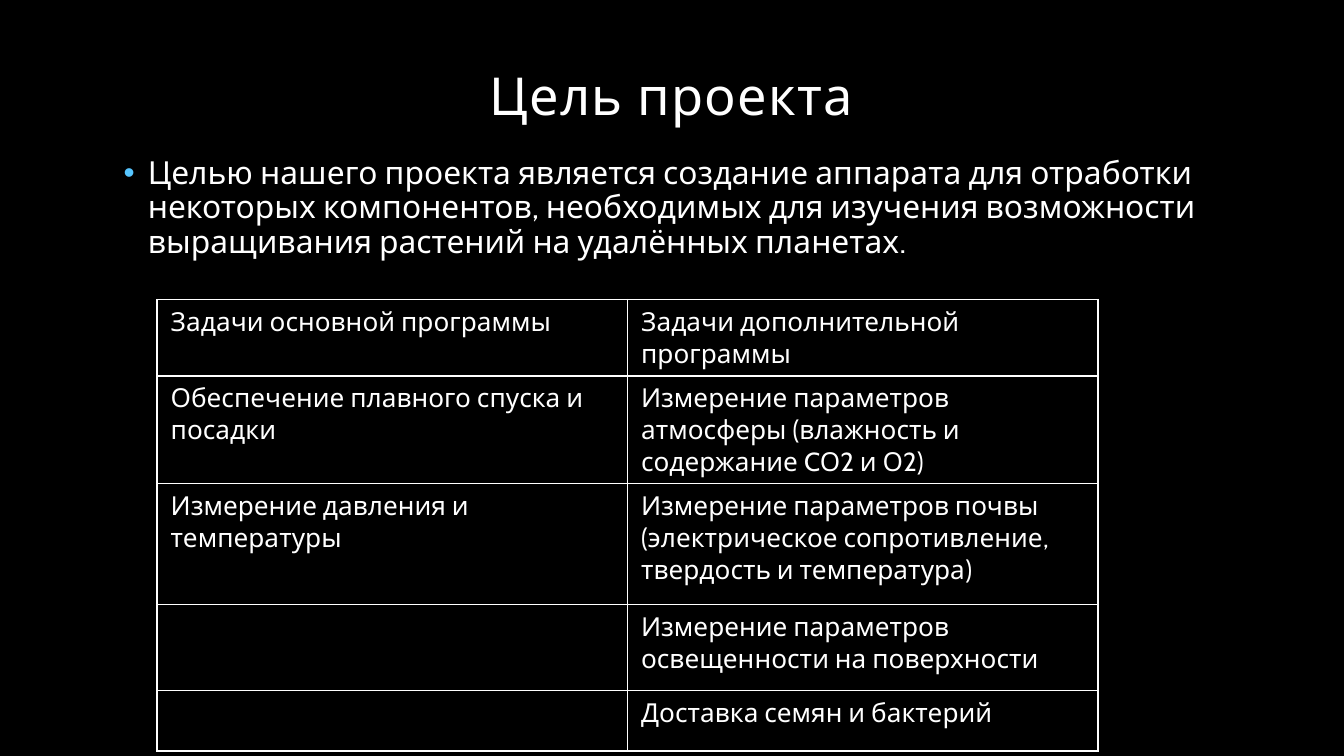
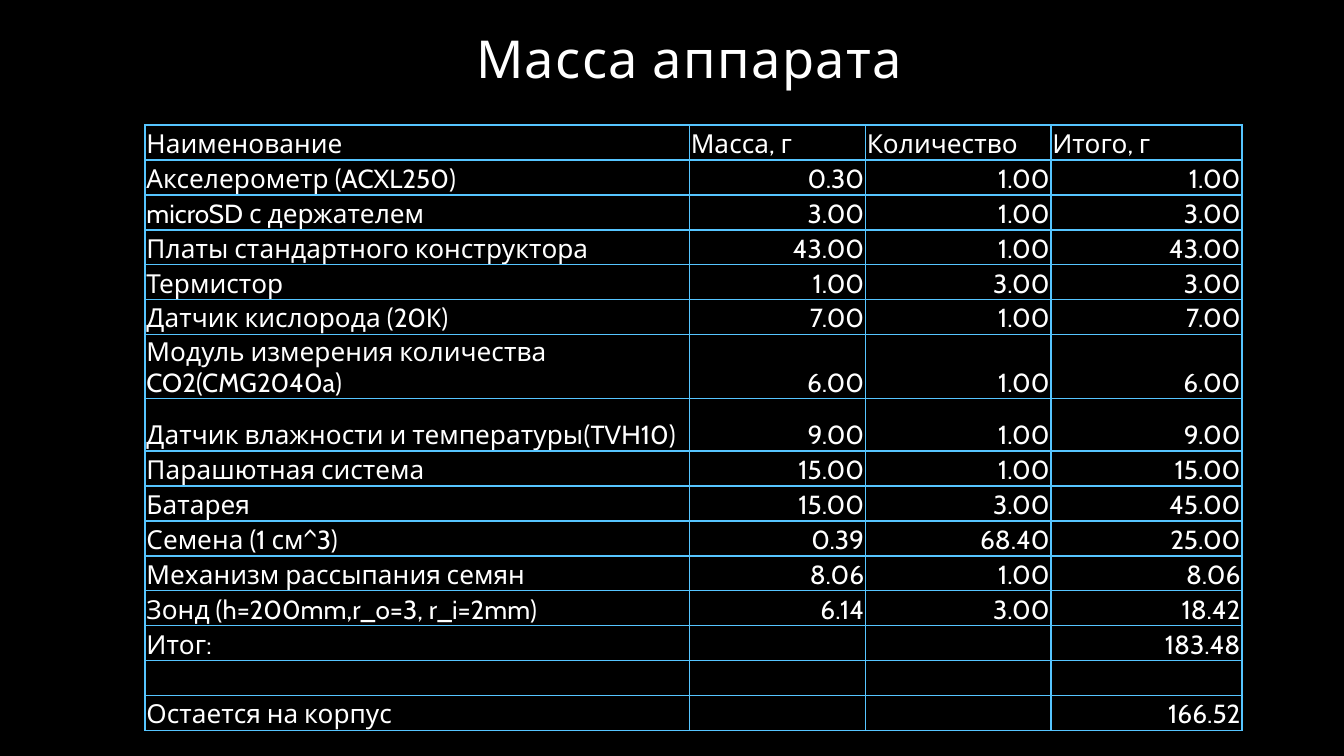
"""Builds two dark slides: the project goal and the mass budget of the craft."""
from dataclasses import dataclass

from lxml.etree import SubElement
from pptx import Presentation
from pptx.dml.color import RGBColor as Rgb
from pptx.enum.text import MSO_ANCHOR as Anchor, PP_ALIGN as Align
from pptx.oxml.ns import qn
from pptx.slide import Slide
from pptx.text.text import TextFrame, _Paragraph as Para
from pptx.util import Emu, Inches, Pt


@dataclass(frozen=True)
class Theme:
    font: str = "Cabin"
    back: str = "000000"
    ink: str = "FFFFFF"
    blue: str = "56C5FF"
    head: int = 28
    body: int = 17
    cell: int = 14
    line: float = 1
    lead: float = 0.9


@dataclass(frozen=True)
class Box:
    left: float
    top: float
    width: float
    height: float

    def place(self) -> tuple[Emu, ...]:
        return tuple(Inches(n) for n in (self.left, self.top, self.width, self.height))


@dataclass(frozen=True)
class Grid:
    box: Box
    cols: list[float]
    rows: list[float]
    data: list[tuple[str, ...]]
    edge: str
    pad: tuple[float, float, float, float]
    anchor: Anchor = Anchor.TOP


THEME = Theme()
GOAL = (
    "Целью нашего проекта является создание аппарата для отработки некоторых "
    "компонентов, необходимых для изучения возможности выращивания растений "
    "на удалённых планетах."
)
TASKS = [
    ("Задачи основной программы", "Задачи дополнительной программы"),
    ("Обеспечение плавного спуска и посадки",
     "Измерение параметров атмосферы (влажность и содержание CО2 и О2)"),
    ("Измерение давления и температуры",
     "Измерение параметров почвы (электрическое сопротивление, твердость и температура)"),
    ("", "Измерение параметров освещенности на поверхности"),
    ("", "Доставка семян и бактерий"),
]
PARTS = [
    ("Наименование", "Масса, г", "Количество", "Итого, г"),
    ("Акселерометр (ACXL250)", "0.30", "1.00", "1.00"),
    ("microSD с держателем", "3.00", "1.00", "3.00"),
    ("Платы стандартного конструктора", "43.00", "1.00", "43.00"),
    ("Термистор", "1.00", "3.00", "3.00"),
    ("Датчик кислорода (20K)", "7.00", "1.00", "7.00"),
    ("Модуль измерения количества CO2(CMG2040a)", "6.00", "1.00", "6.00"),
    ("Датчик влажности и температуры(TVH10)", "9.00", "1.00", "9.00"),
    ("Парашютная система", "15.00", "1.00", "15.00"),
    ("Батарея", "15.00", "3.00", "45.00"),
    ("Семена (1 см^3)", "0.39", "68.40", "25.00"),
    ("Механизм рассыпания семян", "8.06", "1.00", "8.06"),
    ("Зонд (h=200mm,r_o=3, r_i=2mm)", "6.14", "3.00", "18.42"),
    ("Итог:", "", "", "183.48"),
    ("", "", "", ""),
    ("Остается на корпус", "", "", "166.52"),
]


def style(para: Para, size: int) -> None:
    for run in para.runs:
        run.font.name = THEME.font
        run.font.size = Pt(size)
        run.font.color.rgb = Rgb.from_string(THEME.ink)
    if not para.runs:
        SubElement(para._p, qn("a:endParaRPr"), sz=str(size * 100))


def add_text(slide: Slide, box: Box, text: str, size: int) -> TextFrame:
    frame = slide.shapes.add_textbox(*box.place()).text_frame
    frame.word_wrap = True
    frame.margin_left = frame.margin_right = Inches(0.07)
    frame.margin_top = frame.margin_bottom = Inches(0.04)
    frame.text = text
    para = frame.paragraphs[0]
    para.line_spacing = THEME.lead
    style(para, size)
    return frame


def add_title(slide: Slide, box: Box, text: str) -> None:
    frame = add_text(slide, box, text, THEME.head)
    frame.vertical_anchor = Anchor.BOTTOM
    para = frame.paragraphs[0]
    para.alignment = Align.CENTER
    para.runs[0]._r.get_or_add_rPr().set("spc", "80")


def add_bullet(slide: Slide, box: Box, text: str) -> None:
    para = add_text(slide, box, text, THEME.body).paragraphs[0]
    props = para._p.get_or_add_pPr()
    props.set("marL", str(Inches(0.18)))
    props.set("indent", str(-Inches(0.18)))
    tint = SubElement(props, qn("a:buClr"))
    SubElement(tint, qn("a:srgbClr"), val=THEME.blue)
    SubElement(props, qn("a:buFont"), typeface="Arial")
    SubElement(props, qn("a:buChar"), char="•")


def add_grid(slide: Slide, grid: Grid) -> None:
    size = len(grid.rows), len(grid.cols)
    table = slide.shapes.add_table(*size, *grid.box.place()).table
    table.first_row = table.horz_banding = False
    for col, width in zip(table.columns, grid.cols):
        col.width = Inches(width)
    for row, height, texts in zip(table.rows, grid.rows, grid.data):
        row.height = Inches(height)
        for cell, text in zip(row.cells, texts):
            cell.text = text
            cell.vertical_anchor = grid.anchor
            (cell.margin_left, cell.margin_top,
             cell.margin_right, cell.margin_bottom) = map(Inches, grid.pad)
            para = cell.text_frame.paragraphs[0]
            if text.replace(".", "").isdigit():
                para.alignment = Align.RIGHT
            style(para, THEME.cell)
            props = cell._tc.get_or_add_tcPr()
            for side in ("lnL", "lnR", "lnT", "lnB"):
                line = SubElement(props, qn(f"a:{side}"), w=str(Pt(THEME.line)))
                fill = SubElement(line, qn("a:solidFill"))
                SubElement(fill, qn("a:srgbClr"), val=grid.edge)
            cell.fill.background()


def add_slide(deck: Presentation, box: Box, title: str) -> Slide:
    slide = deck.slides.add_slide(deck.slide_layouts[6])
    fill = slide.background.fill
    fill.solid()
    fill.fore_color.rgb = Rgb.from_string(THEME.back)
    add_title(slide, box, title)
    return slide


def main() -> None:
    deck = Presentation()
    deck.slide_width, deck.slide_height = Inches(10), Inches(5.625)

    goal = add_slide(deck, Box(0.85, 0.24, 8.29, 0.74), "Цель проекта")
    add_bullet(goal, Box(0.85, 1.13, 8.29, 3.76), GOAL)
    add_grid(goal, Grid(
        Box(1.17, 2.23, 7, 3.09), [3.5] * 2, [0.47, 0.64, 0.9, 0.64, 0.45],
        TASKS, THEME.ink, (0.1, 0.05, 0.1, 0.05)))

    mass = add_slide(deck, Box(2.42, 0.15, 5.42, 0.56), "Масса аппарата")
    add_grid(mass, Grid(
        Box(1.08, 0.93, 8.17, 4.39), [4.05, 1.31, 1.38, 1.42],
        [0.26] * 6 + [0.39] * 2 + [0.26] * 8,
        PARTS, THEME.blue, (0.01, 0.01, 0.01, 0), Anchor.BOTTOM))

    deck.save("out.pptx")


if __name__ == "__main__":
    main()
